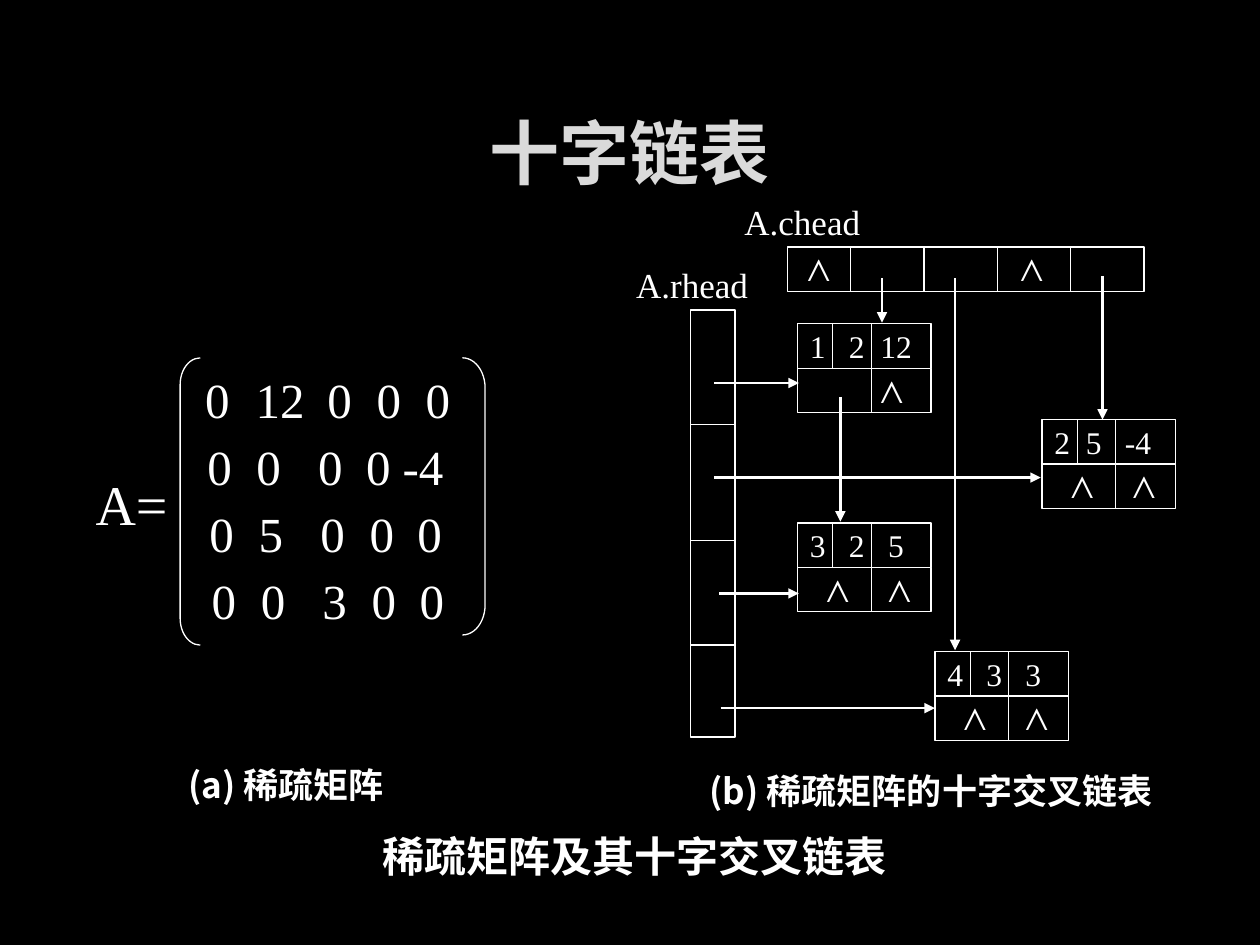
from pptx import Presentation
from pptx.dml.color import RGBColor
from pptx.enum.shapes import MSO_CONNECTOR, MSO_SHAPE as SHAPE
from pptx.enum.text import MSO_ANCHOR, PP_ALIGN
from pptx.oxml.ns import qn
from pptx.util import Inches, Pt
from lxml.etree import SubElement, Element

BLACK = RGBColor(0x00, 0x00, 0x00)
WHITE = RGBColor(0xFF, 0xFF, 0xFF)
LIGHT_GREY = RGBColor(0xDA, 0xDA, 0xDA)
SERIF, SANS = "Times New Roman", "Noto Sans CJK SC"

prs = Presentation()
prs.slide_width, prs.slide_height = Inches(10), Inches(7.5)
COL, ROW = prs.slide_width / 100, prs.slide_height / 75  # grid of 100 x 75

s = prs.slides.add_slide(prs.slide_layouts[5])
s.background.fill.solid()
s.background.fill.fore_color.rgb = BLACK


def box(x, y, w, h, text="", size=18, tabs=(), preset=None, caption=False):
    """Add a text box, or an outlined preset shape; tabs are in columns."""
    place = int(x * COL), int(y * ROW), int(w * COL), int(h * ROW)
    if preset is None:
        sp = s.shapes.add_textbox(*place)
    else:
        sp = s.shapes.add_shape(preset, *place)
        sp.shadow.inherit = False
        sp.fill.background()
        sp.line.color.rgb = WHITE
        sp.line.width = Pt(0.75)
    if text:
        tf = sp.text_frame
        tf.word_wrap = caption
        tf.vertical_anchor = MSO_ANCHOR.MIDDLE
        if not caption:
            tf.margin_right = 0
        p = tf.paragraphs[0]
        p.text = text
        p.alignment = PP_ALIGN.CENTER if caption else PP_ALIGN.LEFT
        p.font.size, p.font.bold = Pt(size), caption
        p.font.color.rgb = WHITE
        p.font.name = SANS if caption else SERIF
        pPr = p._p.get_or_add_pPr()
        SubElement(pPr.find(qn("a:defRPr")), qn("a:ea"), typeface=SANS)
        if tabs:
            tab_list = Element(qn("a:tabLst"))
            for tab in tabs:
                SubElement(tab_list, qn("a:tab"), pos=str(int(tab * COL)), algn="l")
            pPr.insert(0, tab_list)
    return sp


def line(x1, y1, x2, y2, arrow=False):
    c = s.shapes.add_connector(MSO_CONNECTOR.STRAIGHT, int(x1 * COL), int(y1 * ROW),
                               int(x2 * COL), int(y2 * ROW))
    c.line.color.rgb = WHITE
    c.line.width = Pt(1.5 if arrow else 0.75)
    if arrow:
        SubElement(c.line._get_or_add_ln(), qn("a:tailEnd"), type="triangle")
    SubElement(c._element.spPr, qn("a:effectLst"))


# Title
title = s.shapes.title
title.left, title.top = int(7.5 * COL), int(6.7 * ROW)
title.width, title.height = int(84.9 * COL), int(10.6 * ROW)
title.text_frame.vertical_anchor = MSO_ANCHOR.MIDDLE
p = title.text_frame.paragraphs[0]
p.text = "十字链表"
p.alignment = PP_ALIGN.CENTER
p.font.size, p.font.bold, p.font.name = Pt(40), True, SANS
p.font.color.rgb = LIGHT_GREY
SubElement(p._p.pPr.find(qn("a:defRPr")), qn("a:ea"), typeface=SANS)

# Captions, with an en space after the letter
box(26.6, 65.8, 47.5, 4.2, "稀疏矩阵及其十字交叉链表", 24, caption=True)
box(9.9, 60.6, 25.6, 3.3, "(a) 稀疏矩阵", 20, caption=True)
box(49.5, 61.1, 48.8, 3.3, "(b) 稀疏矩阵的十字交叉链表", 20, caption=True)

# Sparse matrix
box(6.6, 38, 7.2, 3.9, "A=", 32)
matrix = [
    ("0\t12\t0\t0\t0", (4, 9.7, 13.6, 17.5)),
    ("0\t0\t0\t0\t-4", (3.9, 8.8, 12.6, 15.5)),
    ("0\t5\t0\t0\t0", (3.9, 8.8, 12.7, 16.5)),
    ("0\t0\t3\t0\t0", (3.9, 8.8, 12.7, 16.5)),
]
for i, (text, tabs) in enumerate(matrix):
    box(15.3 + 0.17 * i, 29.9 + 5.3 * i, 23.5, 3.6, text, 28, tabs)
for preset, x, w, h in [(SHAPE.LEFT_BRACKET, 14.3, 1.6, 22.8),
                        (SHAPE.RIGHT_BRACKET, 36.7, 1.8, 22)]:
    box(x, 28.4, w, h, preset=preset).adjustments[0] = 1.333

# Column heads and row heads
CELL_H = 3.53
box(58.1, 15.6, 11, 3.9, "A.chead", 20)
box(62.5, 19.6, 28.3, CELL_H, "\t⋀\t⋀", tabs=(0.6, 17.5), preset=SHAPE.RECTANGLE)
for i in range(4):
    x = 67.5 + 5.83 * i
    line(x, 19.6, x, 19.6 + CELL_H)
box(49.5, 20.6, 11, 3.9, "A.rhead", 20)
box(54.8, 24.6, CELL_H, 33.9, preset=SHAPE.RECTANGLE)
for y in (33.7, 42.9, 51.2):
    line(54.8, y, 54.8 + CELL_H, y)

# List nodes: row, column and value above the two pointers
NODE_W, COLUMN_X, VALUE_X = 10.6, 2.8, 5.85
BOTH_NULL = ("\t⋀\t⋀", (1.3, 6.2))
nodes = [
    (63.3, 25.7, "1\t2\t12", (3.1, 5.6), ("\t⋀", (5.6,))),
    (63.3, 41.5, "3\t2\t5", (3.1, 6.2), BOTH_NULL),
    (82.7, 33.3, "2\t5\t-4", (2.5, 5.6), BOTH_NULL),
    (74.2, 51.7, "4\t3\t3", (3.1, 6.2), BOTH_NULL),
]
for x, y, entry, tabs, (pointers, pointer_tabs) in nodes:
    middle = y + CELL_H
    box(x, y, NODE_W, CELL_H, entry, tabs=tabs, preset=SHAPE.RECTANGLE)
    box(x, middle, NODE_W, CELL_H, pointers, tabs=pointer_tabs, preset=SHAPE.RECTANGLE)
    line(x + COLUMN_X, y, x + COLUMN_X, middle)
    line(x + VALUE_X, y, x + VALUE_X, middle + CELL_H)

# Links down the columns, then along the rows
for x, y1, y2 in [(70, 22.1, 25.6), (75.8, 22.1, 51.6), (87.5, 21.9, 33.3),
                  (66.7, 31.5, 41.4)]:
    line(x, y1, x, y2, arrow=True)
for y, x1, x2 in [(30.4, 56.7, 63.4), (37.9, 56.7, 82.6), (47.1, 57.1, 63.4),
                  (56.2, 57.2, 74.2)]:
    line(x1, y, x2, y, arrow=True)

prs.save("out.pptx")
